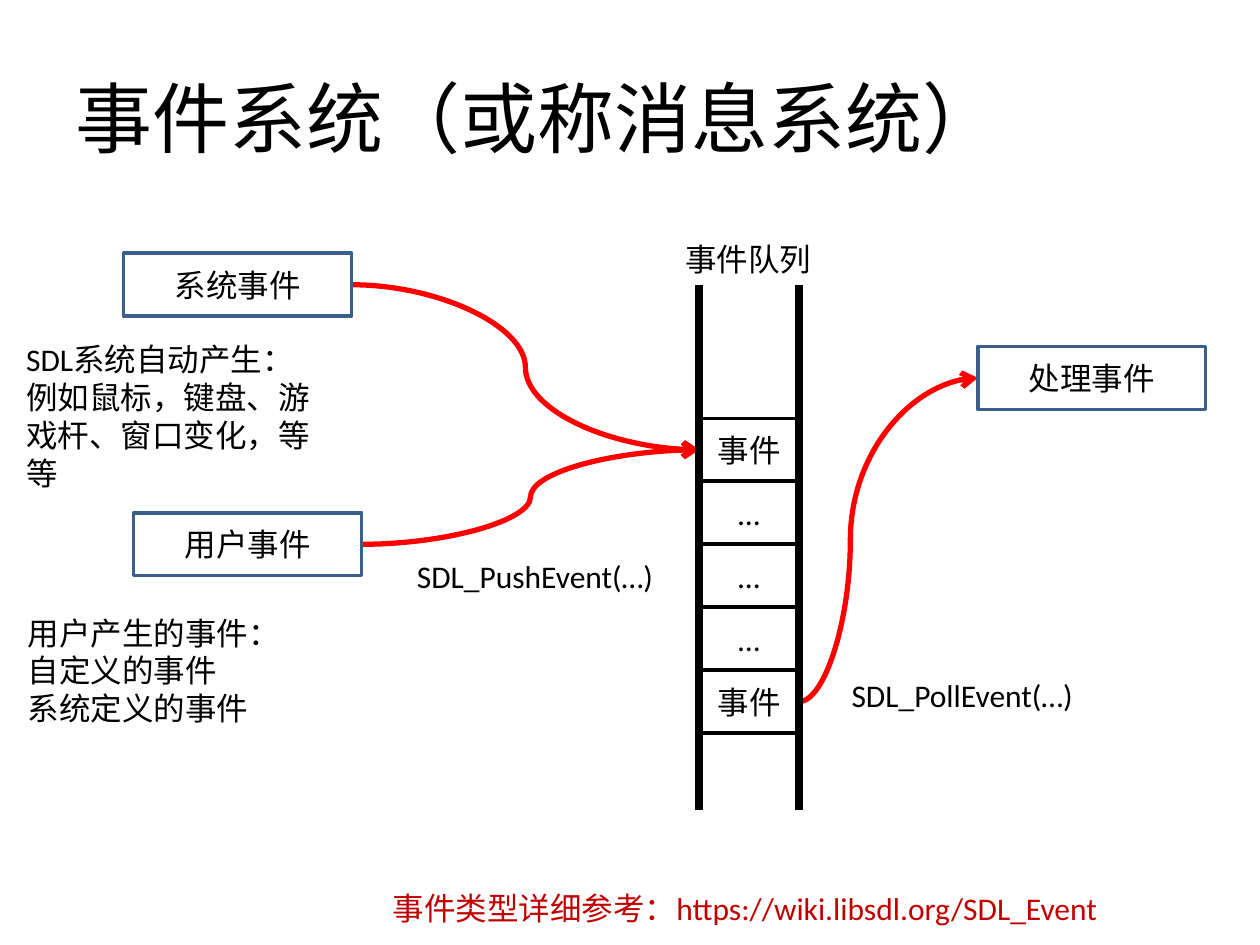
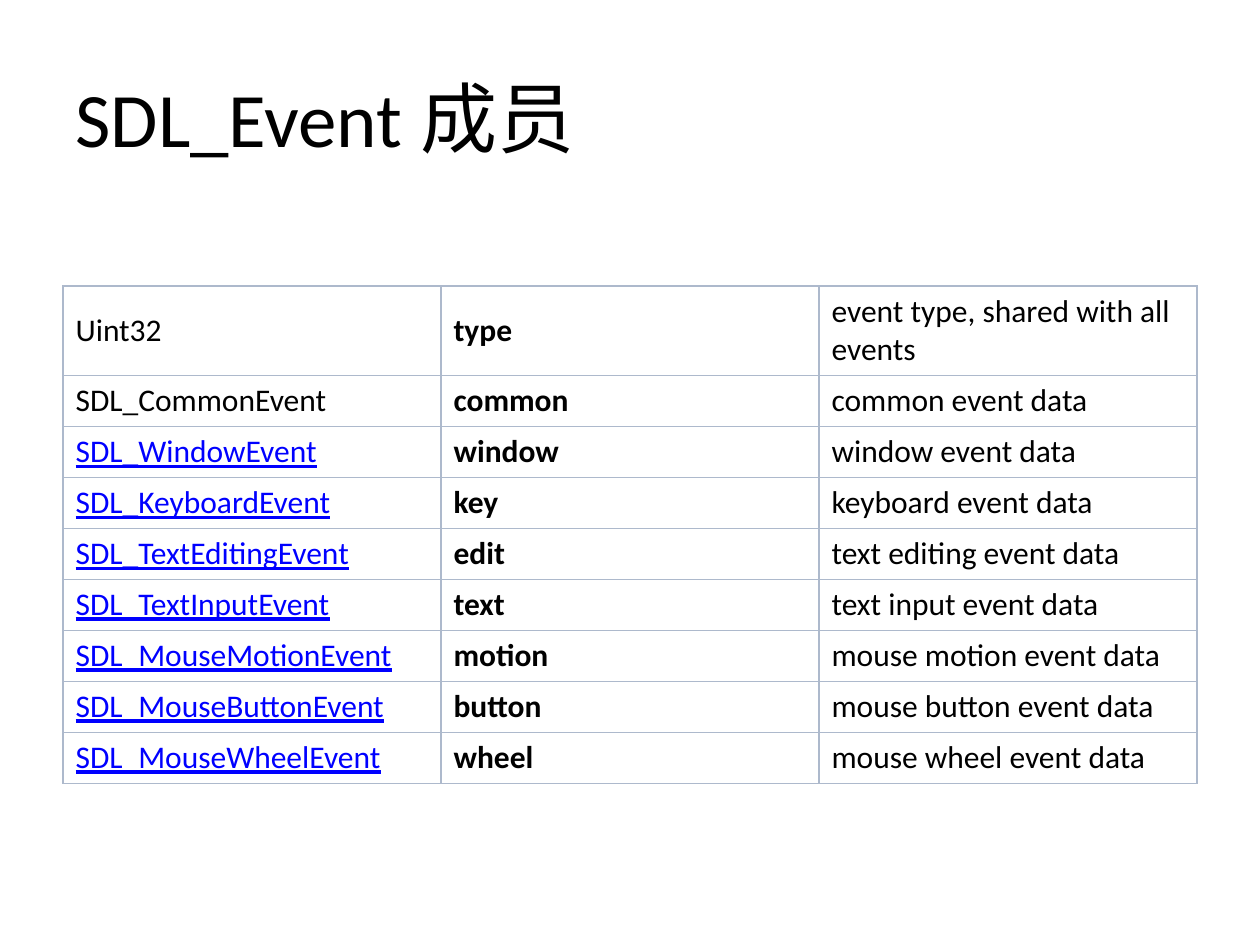
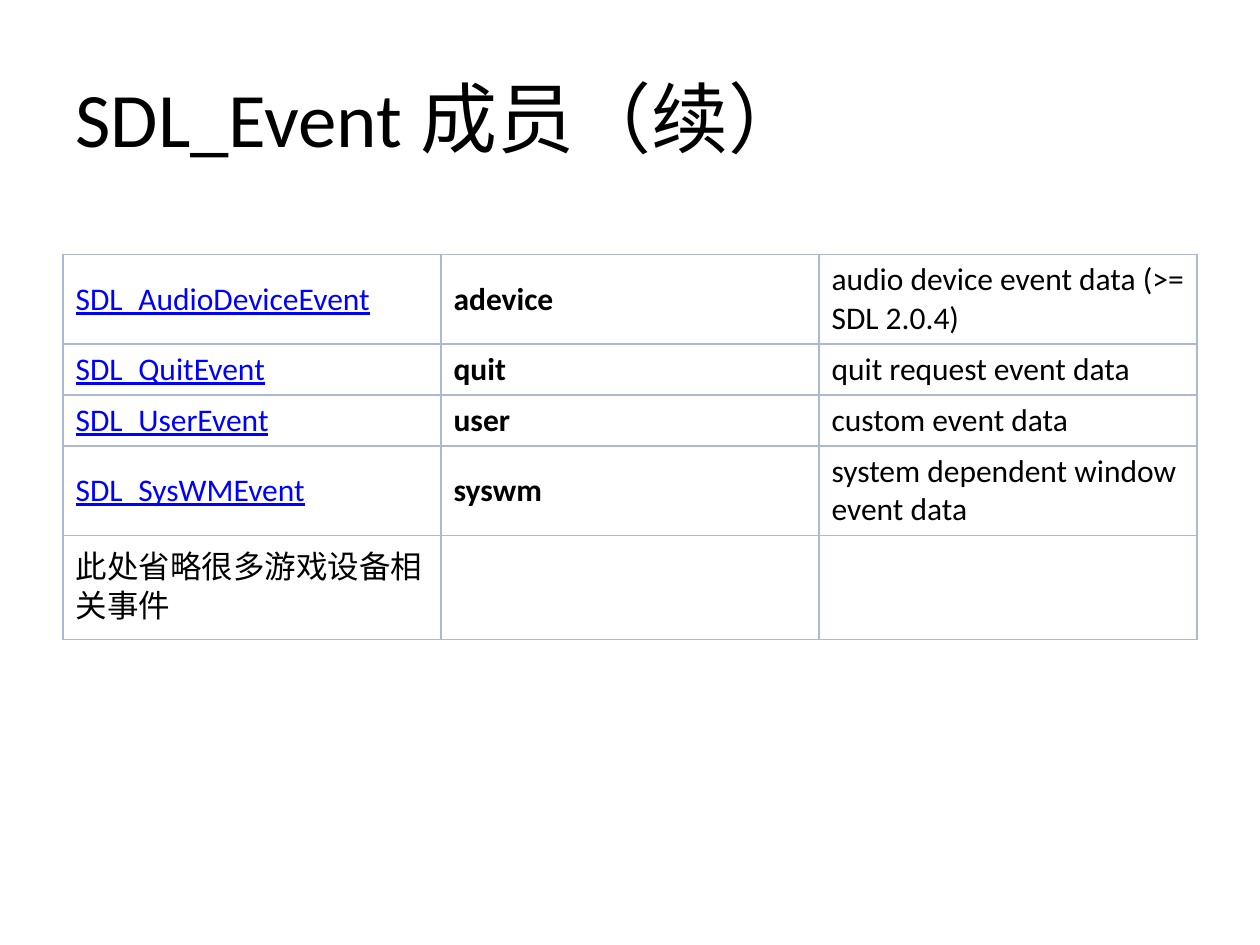
from pptx import Presentation
from pptx.dml.color import RGBColor as Rgb
from pptx.enum.lang import MSO_LANGUAGE_ID as Lang
from pptx.enum.shapes import MSO_CONNECTOR as Conn, MSO_SHAPE as Shape
from pptx.enum.text import MSO_ANCHOR as Anchor, MSO_AUTO_SIZE as Fit, PP_ALIGN as Align
from pptx.oxml import parse_xml
from pptx.oxml.ns import nsdecls, qn
from pptx.util import Inches, Pt


class Theme:
    """Colours, font and sizes shared by all slides."""
    ink, paper = Rgb.from_string("000000"), Rgb.from_string("FFFFFF")
    flow, note = Rgb.from_string("FF0000"), Rgb.from_string("C00000")
    edge, link = Rgb.from_string("3A5F8C"), Rgb.from_string("0000FF")
    grid = "ADB9CC"
    font, title, body = "Calibri", Pt(44), Pt(18)
    thin, arrow, rail = Pt(2), Pt(3), Pt(4.5)


deck = Presentation()
deck.slide_width, deck.slide_height = Inches(10), Inches(7.5)
# The page is a grid of 100 columns and 75 rows.
COL, ROW = deck.slide_width / 100, deck.slide_height / 75


def area(*cells):
    """Turn column, row pairs into lengths."""
    return [round(n * (ROW if i % 2 else COL)) for i, n in enumerate(cells)]


def write(frame, text, align=Align.LEFT, **extra):
    """Fill a text frame, one paragraph a line, with theme type plus extras."""
    style = {"name": Theme.font, "size": Theme.body, "bold": False,
             "language_id": Lang.SIMPLIFIED_CHINESE}
    color = extra.pop("color", Theme.ink)
    style.update(extra)
    for i, line in enumerate(text.split("\n")):
        para = frame.add_paragraph() if i else frame.paragraphs[0]
        para.alignment = align
        run = para.add_run()
        run.text = line
        for key, value in style.items():
            setattr(run.font, key, value)
        run.font.color.rgb = color
        props = run.font._element
        props.find(qn("a:latin")).addnext(
            parse_xml(f'<a:ea {nsdecls("a")} typeface="{Theme.font}"/>'))


# Pages and titles
pages = []
for name in ("事件系统（或称消息系统）", "SDL_Event 成员", "SDL_Event 成员（续）"):
    page = deck.slides.add_slide(deck.slide_layouts[6])
    head = page.shapes.add_textbox(*area(5, 3, 90, 12.5)).text_frame
    head.word_wrap, head.vertical_anchor = True, Anchor.MIDDLE
    write(head, name, size=Theme.title)
    pages.append(page)
flow, first, second = pages

# Event flow: queue geometry, in grid units
LEFT, RIGHT, TOP, STEP = 55.5, 63.4, 33.2, 5
BOX = 18.1
items = ("事件", "…", "…", "…", "事件")
entry = TOP + STEP / 2
leave = entry + STEP * (len(items) - 1)

# Curves into and out of the queue, then its two rails
curve, rail = (Conn.CURVE, Theme.flow, Theme.arrow), (Conn.STRAIGHT, Theme.ink, Theme.rail)
lines = [
    (curve, (RIGHT, leave, 77.6, 30), 28800),
    (curve, (27.9, 22.6, LEFT, entry), 50000),
    (curve, (28.7, 43.2, LEFT, entry), 50000),
    (rail, (LEFT, 22.6, LEFT, 64.3), None),
    (rail, (RIGHT, 22.6, RIGHT, 64.3), None),
]
for (kind, color, width), ends, bend in lines:
    wire = flow.shapes.add_connector(kind, *area(*ends))
    wire.line.color.rgb, wire.line.width = color, width
    props = wire.element.spPr
    props.append(parse_xml(f'<a:effectLst {nsdecls("a")}/>'))
    if bend:
        props.find(qn("a:ln")).append(
            parse_xml(f'<a:tailEnd {nsdecls("a")} type="arrow"/>'))
        props.find(qn("a:prstGeom")).get_or_add_avLst().append(
            parse_xml(f'<a:gd {nsdecls("a")} name="adj1" fmla="val {bend}"/>'))

# Boxes: three stages and the queue items
boxes = [(77.6, 27.5, BOX, "处理事件", Theme.edge),
         (9.8, 20.1, BOX, "系统事件", Theme.edge),
         (10.6, 40.7, BOX, "用户事件", Theme.edge)]
boxes += [(LEFT, TOP + STEP * i, RIGHT - LEFT, item, Theme.ink)
          for i, item in enumerate(items)]
for x, y, width, text, color in boxes:
    box = flow.shapes.add_shape(Shape.RECTANGLE, *area(x, y, width, STEP))
    box.shadow.inherit = False
    box.fill.background()
    box.line.color.rgb, box.line.width = color, Theme.thin
    box.text_frame.vertical_anchor = Anchor.MIDDLE
    write(box.text_frame, text, Align.CENTER)

# Labels
labels = [
    ((53.4, 18.6, 12.1, 4), "事件队列", False, Theme.ink),
    ((1.2, 48.2, 33.1, 13.1), "用户产生的事件：\n自定义的事件\n系统定义的事件", True, Theme.ink),
    ((1.1, 26.5, 25, 13.1),
     "SDL系统自动产生：\n例如鼠标，键盘、游戏杆、窗口变化，等等", True, Theme.ink),
    ((32.1, 43.7, 21.1, 4), "SDL_PushEvent(…)", False, Theme.ink),
    ((66.6, 53.2, 19.8, 4), "SDL_PollEvent(…)", False, Theme.ink),
    ((30.2, 70.1, 58.6, 4),
     "事件类型详细参考：https://wiki.libsdl.org/SDL_Event", False, Theme.note),
]
for place, text, wrap, color in labels:
    frame = flow.shapes.add_textbox(*area(*place)).text_frame
    frame.word_wrap, frame.auto_size = wrap, Fit.SHAPE_TO_FIT_TEXT
    write(frame, text, color=color)

# Member tables: type, member, meaning
ONE, TWO, LAST = 4.05, 7.1, 8.25
plain = ("Uint32", "SDL_CommonEvent", "此处省略很多游戏设备相关事件")
tables = [
    (first, 22.7, [TWO] + [ONE] * 8, [
        ("Uint32", "type", "event type, shared with all events"),
        ("SDL_CommonEvent", "common", "common event data"),
        ("SDL_WindowEvent", "window", "window event data"),
        ("SDL_KeyboardEvent", "key", "keyboard event data"),
        ("SDL_TextEditingEvent", "edit", "text editing event data"),
        ("SDL_TextInputEvent", "text", "text input event data"),
        ("SDL_MouseMotionEvent", "motion", "mouse motion event data"),
        ("SDL_MouseButtonEvent", "button", "mouse button event data"),
        ("SDL_MouseWheelEvent", "wheel", "mouse wheel event data")]),
    (second, 20.2, [TWO, ONE, ONE, TWO, LAST], [
        ("SDL_AudioDeviceEvent", "adevice", "audio device event data (>= SDL 2.0.4)"),
        ("SDL_QuitEvent", "quit", "quit request event data"),
        ("SDL_UserEvent", "user", "custom event data"),
        ("SDL_SysWMEvent", "syswm", "system dependent window event data"),
        (plain[-1], "", "")]),
]
for page, top, heights, rows in tables:
    table = page.shapes.add_table(
        len(rows), 3, *area(5, top, 90, sum(heights))).table
    table.first_row = table.horz_banding = False
    for r, (row, high) in enumerate(zip(rows, heights)):
        table.rows[r].height = round(high * ROW)
        for c, text in enumerate(row):
            cell = table.cell(r, c)
            cell.vertical_anchor = Anchor.MIDDLE
            props = cell._tc.get_or_add_tcPr()
            for side in "LRTB":
                props.append(parse_xml(
                    f'<a:ln{side} {nsdecls("a")} w="{Pt(1)}"><a:solidFill>'
                    f'<a:srgbClr val="{Theme.grid}"/></a:solidFill></a:ln{side}>'))
            cell.fill.solid()
            cell.fill.fore_color.rgb = Theme.paper
            link = c == 0 and text not in plain
            if text:
                write(cell.text_frame, text, bold=c == 1, underline=link,
                      color=Theme.link if link else Theme.ink)

deck.save("out.pptx")
